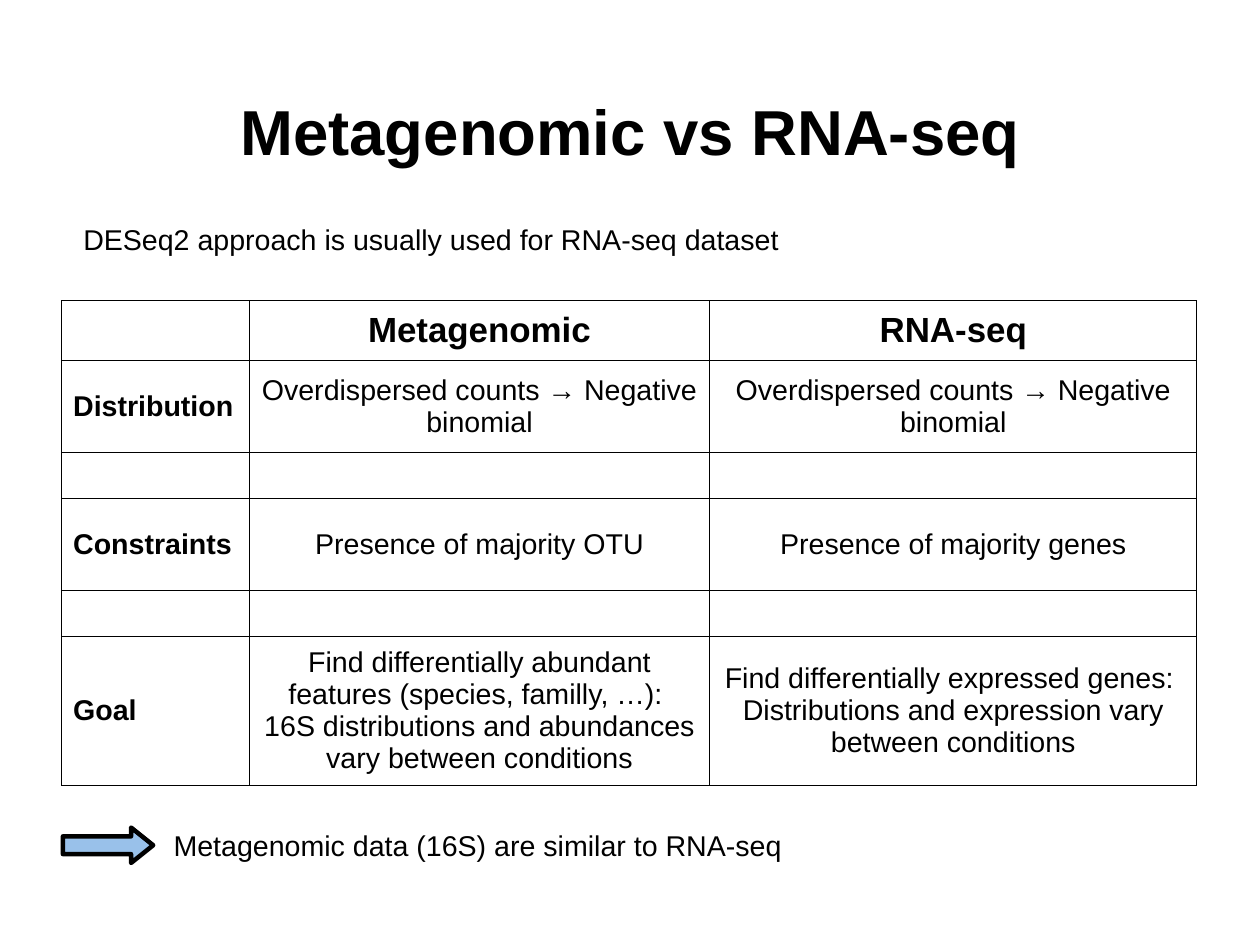
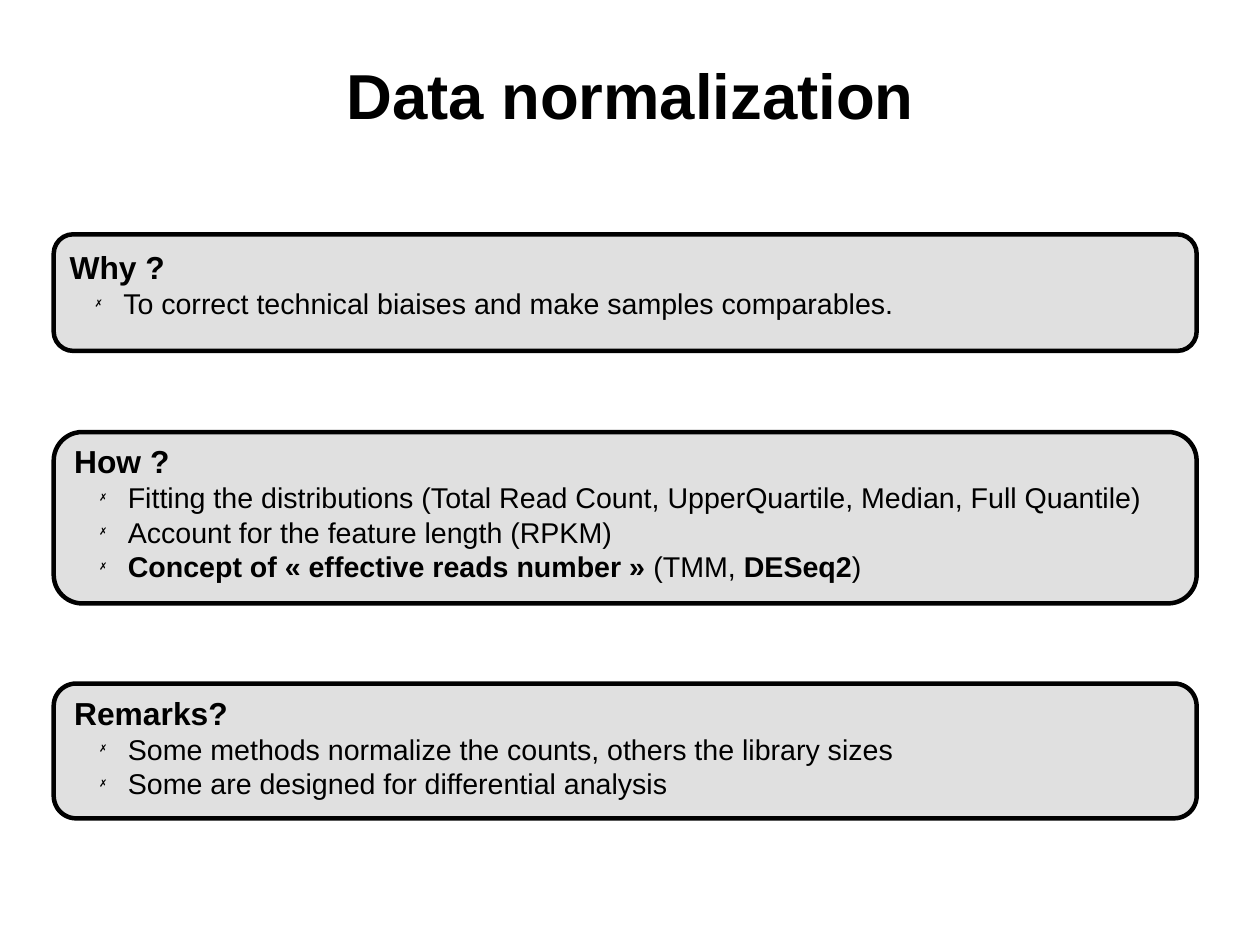
"""Build two slides on metagenomic data and its normalization."""
from lxml import etree
from pptx import Presentation
from pptx.dml.color import RGBColor
from pptx.enum.shapes import MSO_SHAPE
from pptx.enum.text import MSO_ANCHOR, MSO_AUTO_SIZE, PP_ALIGN
from pptx.oxml import parse_xml
from pptx.oxml.ns import nsdecls, qn
from pptx.util import Inches, Pt

BLACK = RGBColor(0x00, 0x00, 0x00)
BLUE = RGBColor(0x00, 0x66, 0xCC)
GREY = RGBColor(0xB2, 0xB2, 0xB2)
FONT = "Arial"
LEFT, CENTER = PP_ALIGN.LEFT, PP_ALIGN.CENTER
MIDDLE = MSO_ANCHOR.MIDDLE
GROW = MSO_AUTO_SIZE.SHAPE_TO_FIT_TEXT
ARROW, ROUND = MSO_SHAPE.RIGHT_ARROW, MSO_SHAPE.ROUNDED_RECTANGLE


def style(para, size, bold=False, align=LEFT):
    para.alignment = align
    for font in [para.font] + [run.font for run in para.runs]:
        font.name, font.size, font.bold = FONT, Pt(size), bold
        font.color.rgb = BLACK


def block(slide, kind, box, color):
    shape = slide.shapes.add_shape(kind, *map(Inches, box))
    shape.shadow.inherit = False
    shape.fill.solid()
    shape.fill.fore_color.rgb = color
    tint = shape.element.spPr.find(qn("a:solidFill")).find(qn("a:srgbClr"))
    etree.SubElement(tint, qn("a:alpha")).set("val", "40000")
    shape.line.color.rgb = BLACK
    shape.line.width = Pt(2.83)
    return shape


deck = Presentation()
deck.slide_width = Inches(28 / 2.54)
deck.slide_height = Inches(21 / 2.54)
slides = []
for text, top in [("Metagenomic vs RNA-seq", 0.78), ("Data normalization", 0.46)]:
    slide = deck.slides.add_slide(deck.slide_layouts[5])
    title = slide.shapes.title
    title.left, title.top = Inches(0), Inches(top)
    title.width, title.height = deck.slide_width, Inches(0.72)
    title.text_frame.text = text
    title.text_frame.vertical_anchor = MIDDLE
    title.text_frame.auto_size = GROW
    style(title.text_frame.paragraphs[0], 40, True, CENTER)
    slides.append(slide)
first, second = slides

COLS = [1.64, 4.03, 4.26]
ROWS = [0.52, 0.81, 0.4, 0.81, 0.4, 1.29]
COUNTS = "Overdispersed counts → Negative binomial"
CELLS = [
    ["", "Metagenomic", "RNA-seq"],
    ["Distribution", COUNTS, COUNTS],
    ["", "", ""],
    ["Constraints", "Presence of majority OTU", "Presence of majority genes"],
    ["", "", ""],
    ["Goal",
     "Find differentially abundant features (species, familly, …): \n"
     "16S distributions and abundances vary between conditions",
     "Find differentially expressed genes: \n"
     "Distributions and expression vary between conditions"],
]
frame = first.shapes.add_table(len(ROWS), len(COLS), Inches(0.54), Inches(2.63),
                               Inches(sum(COLS)), Inches(sum(ROWS)))
table = frame.table
table.first_row = table.horz_banding = False
for col, width in zip(table.columns, COLS):
    col.width = Inches(width)
for y, (row, height) in enumerate(zip(table.rows, ROWS)):
    row.height = Inches(height)
    for x, cell in enumerate(row.cells):
        cell.text_frame.text = CELLS[y][x]
        cell.vertical_anchor = MIDDLE
        for para in cell.text_frame.paragraphs:
            style(para, 22 if y == 0 and x else 18, y == 0 or x == 0,
                  CENTER if x else LEFT)
        for side in "LRTB":
            cell._tc.get_or_add_tcPr().append(parse_xml(
                f'<a:ln{side} {nsdecls("a")} w="{Pt(0.57)}"><a:solidFill>'
                f'<a:srgbClr val="{BLACK}"/></a:solidFill></a:ln{side}>'))
        cell.fill.background()

NOTES = [
    ("DESeq2 approach is usually used for RNA-seq dataset", 0.63, 1.89, 6.32),
    ("Metagenomic data (16S) are similar to RNA-seq", 1.42, 7.19, 5.52),
]
for text, left, top, width in NOTES:
    note = first.shapes.add_textbox(Inches(left), Inches(top), Inches(width), Inches(0.38))
    note.text_frame.text = text
    note.text_frame.word_wrap = False
    note.text_frame.auto_size = GROW
    style(note.text_frame.paragraphs[0], 18)
arrow = block(first, ARROW, (0.55, 7.24, 0.79, 0.31), BLUE)
arrow.adjustments[0], arrow.adjustments[1] = 0.5, 0.625

PANELS = [
    ((0.47, 2.05, 10, 1.02), (0.51, 2.12, 10.31, 0.82), "Why ?",
     ["To correct technical biaises and make samples comparables."]),
    ((0.47, 3.78, 10, 1.5), (0.55, 3.82, 9.92, 1.37), "How ?",
     ["Fitting the distributions (Total Read Count, UpperQuartile, Median, Full Quantile)",
      "Account for the feature length (RPKM)",
      "*Concept of « effective reads number » *(TMM, *DESeq2*)"]),
    ((0.47, 5.98, 10, 1.18), (0.55, 6.02, 9.92, 1.06), "Remarks?",
     ["Some methods normalize the counts, others the library sizes",
      "Some are designed for differential analysis"]),
]
for box, area, head, points in PANELS:
    block(second, ROUND, box, GREY).adjustments[0] = 0.167
    body = second.shapes.add_textbox(*map(Inches, area)).text_frame
    body.word_wrap = True
    body.auto_size = GROW
    body.text = head
    style(body.paragraphs[0], 20, True)
    for point in points:
        para = body.add_paragraph()
        para.level = 1
        props = para._p.get_or_add_pPr()
        props.set("marL", str(Inches(0.47)))
        props.set("indent", str(Inches(-0.24)))
        color = etree.SubElement(props, qn("a:buClr"))
        etree.SubElement(color, qn("a:srgbClr")).set("val", str(BLACK))
        etree.SubElement(props, qn("a:buSzPct")).set("val", "45000")
        etree.SubElement(props, qn("a:buFont")).set("typeface", "OpenSymbol")
        etree.SubElement(props, qn("a:buChar")).set("char", "✗")
        parts = [(i, part) for i, part in enumerate(point.split("*")) if part]
        for i, part in parts:
            para.add_run().text = part
        style(para, 18)
        for run, (i, part) in zip(para.runs, parts):
            run.font.bold = i % 2 == 1

deck.save("out.pptx")
